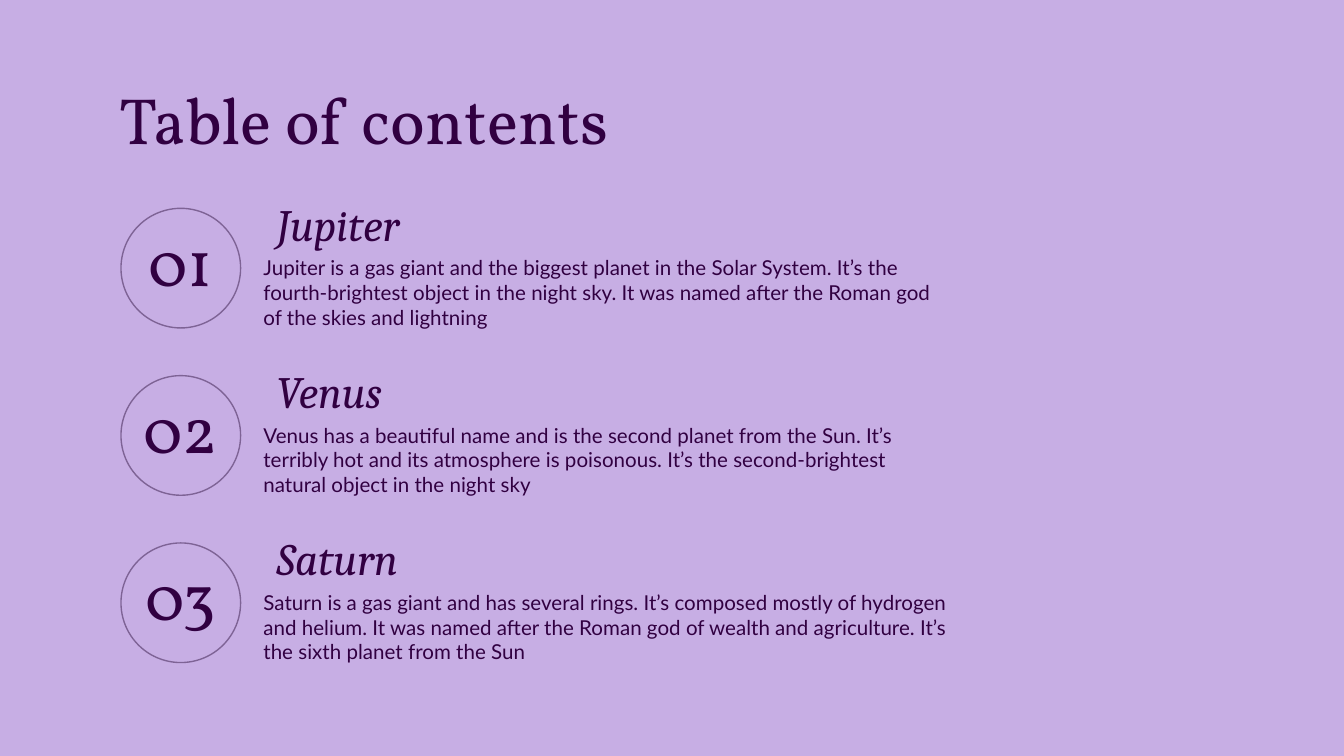
import pptx
import pptx.dml.color
import pptx.enum.shapes
import pptx.enum.text
import pptx.util
from pptx.util import Inches

COLORS = {"background": "C7AEE4", "ring": "7E6395", "text": "310041"}
ALIGN = pptx.enum.text.PP_ALIGN
ANCHOR = pptx.enum.text.MSO_ANCHOR

PLANETS = [
    ("Jupiter", "Jupiter is a gas giant and the biggest planet in the Solar System. It’s the "
     "fourth-brightest object in the night sky. It was named after the Roman god of the skies "
     "and lightning"),
    ("Venus", "Venus has a beautiful name and is the second planet from the Sun. It’s terribly "
     "hot and its atmosphere is poisonous. It’s the second-brightest natural object in the "
     "night sky"),
    ("Saturn", "Saturn is a gas giant and has several rings. It’s composed mostly of hydrogen "
     "and helium. It was named after the Roman god of wealth and agriculture. It’s the sixth "
     "planet from the Sun"),
]
FIRST_TOP = 1.55
ROW_STEP = 1.245


class ContentsPage:
    """Hold the style and the current slide, and add its elements."""

    def __init__(self, deck):
        self.page = deck.slides.add_slide(deck.slide_layouts[6])
        fill = self.page.background.fill
        fill.solid()
        fill.fore_color.rgb = self.color("background")

    def color(self, name):
        return pptx.dml.color.RGBColor.from_string(COLORS[name])

    def ring(self, left, top, size):
        ring = self.page.shapes.add_shape(
            pptx.enum.shapes.MSO_SHAPE.OVAL,
            Inches(left), Inches(top), Inches(size), Inches(size))
        ring.shadow.inherit = False
        ring.fill.background()
        ring.line.color.rgb = self.color("ring")
        ring.line.width = pptx.util.Pt(0.75)

    def text(self, words, left, top, width, height, font, size, italic=False,
             align=ALIGN.LEFT, anchor=ANCHOR.TOP, side=0.1):
        box = self.page.shapes.add_textbox(
            Inches(left), Inches(top), Inches(width), Inches(height))
        frame = box.text_frame
        frame.word_wrap = True
        frame.vertical_anchor = anchor
        frame.margin_left = frame.margin_right = Inches(side)
        frame.margin_top = frame.margin_bottom = Inches(0.1)
        para = frame.paragraphs[0]
        para.text = words
        para.alignment = align
        para.font.name = font
        para.font.size = pptx.util.Pt(size)
        para.font.italic = italic
        para.font.color.rgb = self.color("text")

    def entry(self, number, planet, summary, top):
        self.ring(0.9, top, 0.89)
        self.text(planet, 1.96, top, 5.12, 0.41, "Cambria", 24, italic=True,
                  anchor=ANCHOR.BOTTOM)
        self.text(summary, 1.96, top + 0.25, 5.12, 0.75, "Lato", 11, side=0)
        self.text(f"{number:02}", 0.85, top + 0.16, 0.99, 0.45, "Vollkorn", 35,
                  align=ALIGN.CENTER, anchor=ANCHOR.MIDDLE)


def main():
    deck = pptx.Presentation()
    deck.slide_width = Inches(10)
    deck.slide_height = Inches(5.625)
    contents = ContentsPage(deck)
    contents.text("Table of contents", 0.79, 0.49, 8.42, 0.63, "Vollkorn", 35)
    for index, (planet, summary) in enumerate(PLANETS):
        contents.entry(index + 1, planet, summary, FIRST_TOP + index * ROW_STEP)
    deck.save("out.pptx")


if __name__ == "__main__":
    main()
